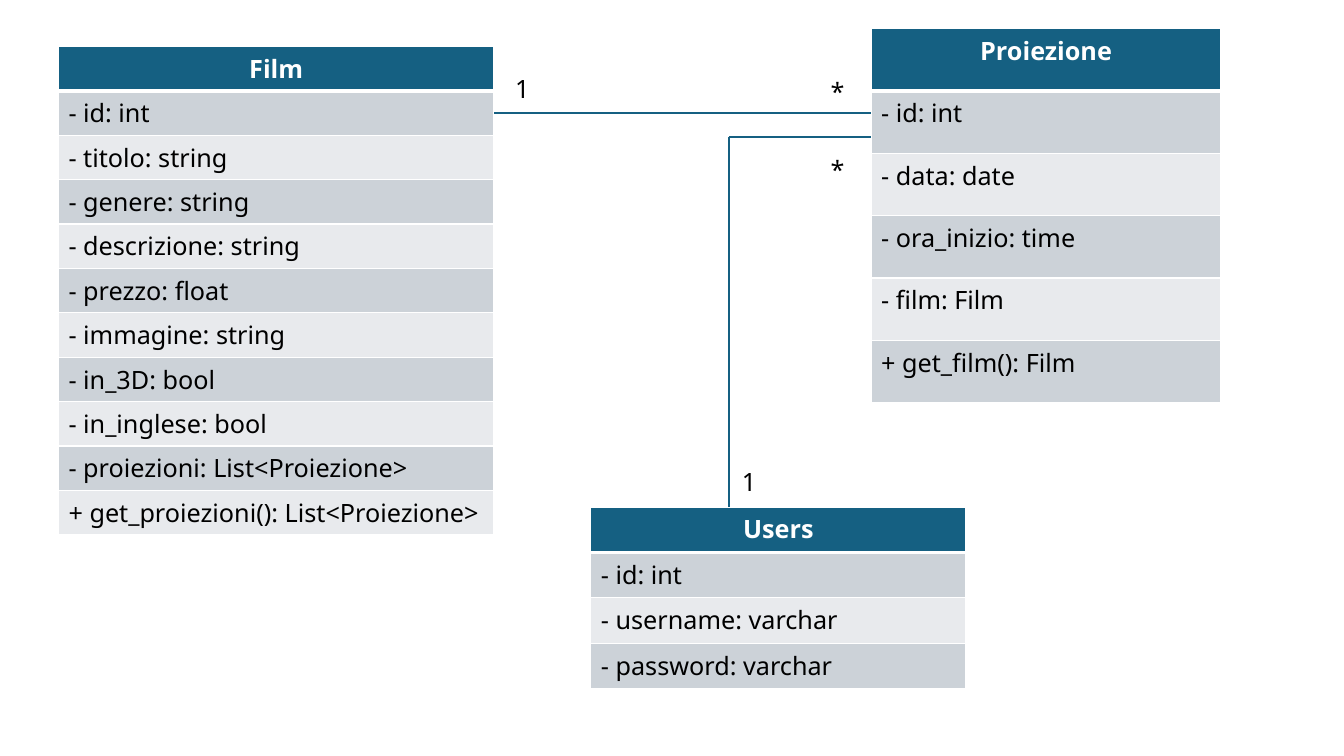
from pptx import Presentation
from pptx.dml.color import RGBColor
from pptx.enum.shapes import MSO_CONNECTOR
from pptx.enum.text import MSO_AUTO_SIZE, PP_ALIGN
from pptx.oxml.ns import qn
from pptx.util import Inches, Pt
from lxml.etree import SubElement

FONT = "Noto Sans"
COLORS = {
    "head": "156082",
    "odd": "CCD2D8",
    "even": "E8EAED",
    "white": "FFFFFF",
    "black": "000000",
}


def rgb(name):
    return RGBColor.from_string(COLORS[name])


def style(para, color, bold=False):
    para.font.name = FONT
    para.font.size = Pt(18)
    para.font.bold = bold
    para.font.color.rgb = rgb(color)


deck = Presentation()
deck.slide_width, deck.slide_height = Inches(13.33), Inches(7.5)
slide = deck.slides.add_slide(deck.slide_layouts[6])
shapes = slide.shapes

# Class boxes: left, top, width, header height, row height, name, members
classes = [
    (0.58, 0.46, 4.32, 0.42, 0.4, "Film", [
        "- id: int",
        "- titolo: string",
        "- genere: string",
        "- descrizione: string",
        "- prezzo: float",
        "- immagine: string",
        "- in_3D: bool",
        "- in_inglese: bool",
        "- proiezioni: List<Proiezione>",
        "+ get_proiezioni(): List<Proiezione>",
    ]),
    (8.64, 0.28, 3.47, 0.62, 0.62, "Proiezione", [
        "- id: int",
        "- data: date",
        "- ora_inizio: time",
        "- film: Film",
        "+ get_film(): Film",
    ]),
    (5.86, 5.03, 3.72, 0.45, 0.45, "Users", [
        "- id: int",
        "- username: varchar",
        "- password: varchar",
    ]),
]

# The default table style supplies the thin white rules between rows
for left, top, width, head, step, name, members in classes:
    height = head + step * len(members)
    frame = shapes.add_table(len(members) + 1, 1, Inches(left), Inches(top),
                             Inches(width), Inches(height))
    table = frame.table
    for i, text in enumerate([name] + members):
        table.rows[i].height = Inches(step if i else head)
        cell = table.cell(i, 0)
        cell.text = text
        para = cell.text_frame.paragraphs[0]
        if i == 0:
            # Thick white rule below the header
            props = cell._tc.get_or_add_tcPr()
            rule = SubElement(props, qn("a:lnB"), w=str(Pt(3)))
            fill = SubElement(rule, qn("a:solidFill"))
            SubElement(fill, qn("a:srgbClr"), val=COLORS["white"])
            cell.fill.solid()
            cell.fill.fore_color.rgb = rgb("head")
            props.insert(0, rule)
            para.alignment = PP_ALIGN.CENTER
            style(para, "white", True)
        else:
            cell.fill.solid()
            cell.fill.fore_color.rgb = rgb("odd" if i % 2 else "even")
            style(para, "black")

# Associations: Film to Proiezione, then Users up and across to Proiezione
links = [
    (4.9, 1.12, 8.64, 1.12),
    (7.23, 5.03, 7.23, 1.36),
    (7.23, 1.36, 8.64, 1.36),
]
for ends in links:
    link = shapes.add_connector(MSO_CONNECTOR.STRAIGHT, *map(Inches, ends))
    link.line.color.rgb = rgb("head")
    link.line.width = Pt(1.5)
    SubElement(link._element.spPr, qn("a:effectLst"))

# Multiplicities at the ends of the associations
marks = [
    ("1", 5.01, 0.68, 0.67),
    ("*", 8.14, 0.71, 0.59),
    ("1", 7.26, 4.58, 0.67),
    ("*", 8.14, 1.48, 0.59),
]
for text, left, top, width in marks:
    box = shapes.add_textbox(Inches(left), Inches(top), Inches(width), Inches(0.4))
    box.text_frame.word_wrap = True
    box.text_frame.auto_size = MSO_AUTO_SIZE.SHAPE_TO_FIT_TEXT
    box.text_frame.text = text
    style(box.text_frame.paragraphs[0], "black")

deck.save("out.pptx")
